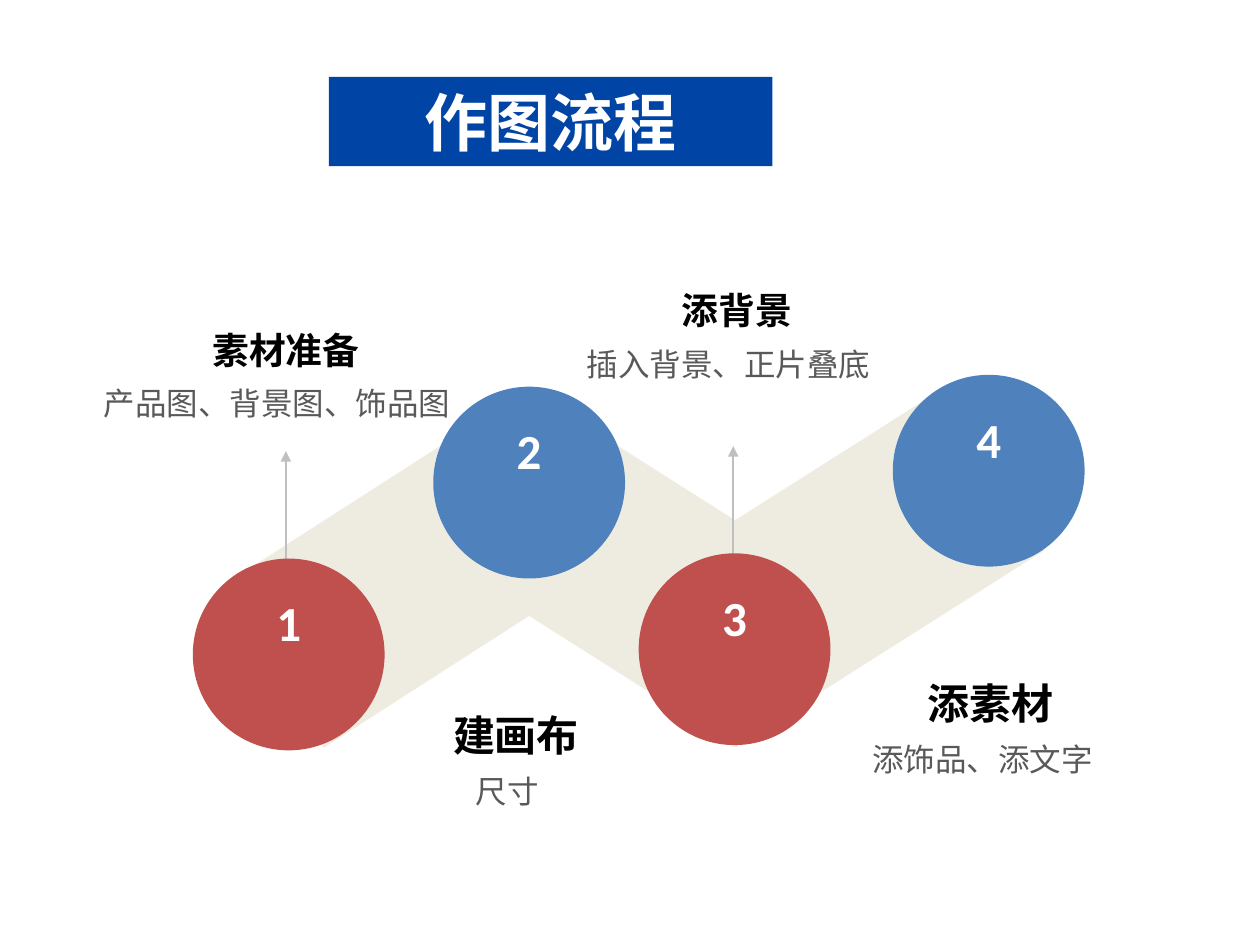
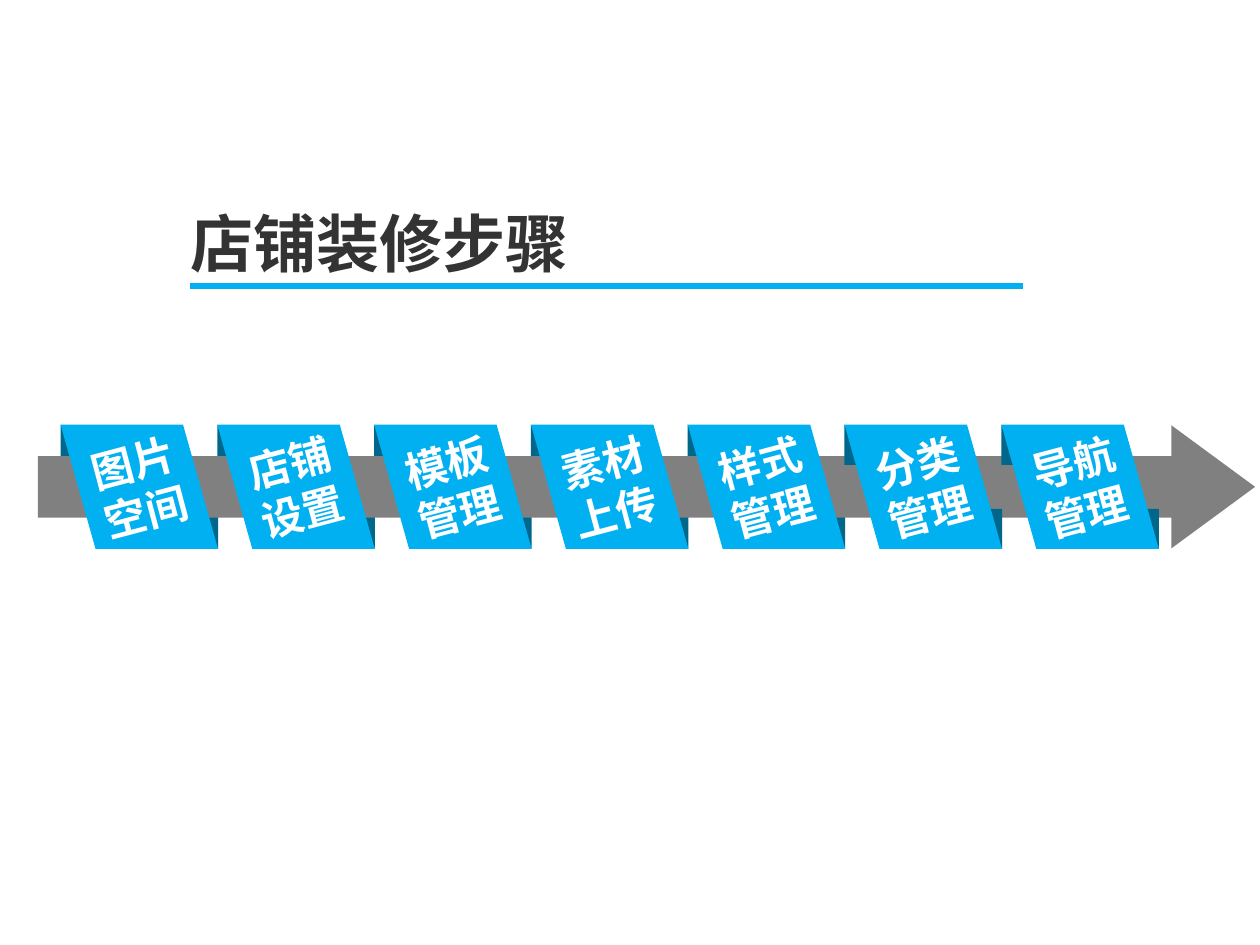
"""Build two process slides: the drawing workflow and the shop decoration steps."""
from math import cos, radians, sin

from lxml.etree import SubElement
from pptx import Presentation
from pptx.dml.color import RGBColor
from pptx.enum.shapes import MSO_CONNECTOR as Connector, MSO_SHAPE as Shape
from pptx.enum.text import MSO_ANCHOR as Anchor, MSO_AUTO_SIZE as AutoSize, PP_ALIGN as Align
from pptx.oxml.ns import qn
from pptx.util import Pt

WHITE = RGBColor(0xFF, 0xFF, 0xFF)
BLACK = RGBColor(0, 0, 0)
NAVY = RGBColor(0x00, 0x44, 0xA5)
BLUE = RGBColor(0x4F, 0x81, 0xBD)
RED = RGBColor(0xC0, 0x50, 0x4D)
CREAM = RGBColor(0xEE, 0xEC, 0xE1)
SILVER = RGBColor(0xBF, 0xBF, 0xBF)
SLATE = RGBColor(0x59, 0x59, 0x59)
CHARCOAL = RGBColor(0x33, 0x33, 0x33)
SKY = RGBColor(0x00, 0xB0, 0xF0)
TEAL = RGBColor(0x00, 0x66, 0x8A)
GREY = RGBColor(0x80, 0x80, 0x80)
CJK = "Noto Sans CJK SC"
LATIN = "Calibri"

WORKFLOW_TITLE = "作图流程"
UPPER = {"size": 21, "head_width": 190, "body_width": 244, "body_height": 30.4}
LOWER = {"size": 24, "head_width": 169, "body_width": 218, "body_height": 48}
CAPTIONS = [
    ("素材准备", "产品图、背景图、饰品图", 163.4, 215.8, UPPER),
    ("建画布", "尺寸", 294.9, 437.6, LOWER),
    ("添背景", "插入背景、正片叠底", 421.2, 193.4, UPPER),
    ("添素材", "添饰品、添文字", 566.3, 419.4, LOWER),
]
HEAD_HEIGHT, BODY_SHIFT = 30.6, -5
CIRCLES = [(165, 374, RED), (302.4, 275.8, BLUE), (419.8, 371, RED), (565, 269, BLUE)]
DIAMETER = 109.6
BARS = [(361.4, -57.6), (478.8, 57.6), (243.8, 57.3)]
BAR_MIDDLE, BAR_WIDTH, BAR_LENGTH = 324.7, 109.2, 210.2
POINTERS = [(163.4, 257.8, 380.2), (419, 255, 378)]

STEPS_TITLE = "店铺装修步骤"
STEPS = ["图片空间", "店铺设置", "模板管理", "素材上传", "样式管理", "分类管理", "导航管理"]
FIRST_CENTER, STEP_PITCH, STEP_MIDDLE = 79.6, 89.6, 278.2
HALF_WIDTH, HALF_HEIGHT, LEAN, TILT = 45, 35.5, 20, 15
FOLD_WIDTH, FOLD_HEIGHT = 11.5, 23
FOLDS_BEHIND = 5


def points(*lengths):
    return [Pt(length) for length in lengths]


def write(box, text, size, color, bold=True, font=CJK, align=Align.CENTER, anchor=Anchor.MIDDLE):
    frame = box.text_frame
    frame.word_wrap = True
    frame.auto_size = AutoSize.NONE
    frame.vertical_anchor = anchor
    frame.text = text
    para = frame.paragraphs[0]
    para.alignment = align
    para.font.name, para.font.size = font, Pt(size)
    para.font.bold = bold
    para.font.color.rgb = color
    if font == CJK:
        properties = para._p.pPr.find(qn("a:defRPr"))
        SubElement(properties, qn("a:ea"), typeface=font)
    return para


def paint(shape, color):
    shape.shadow.inherit = False
    shape.fill.solid()
    shape.fill.fore_color.rgb = color
    shape.line.fill.background()


def add_solid(page, kind, left, top, width, height, color, rotation=0):
    shape = page.shapes.add_shape(kind, *points(left, top, width, height))
    paint(shape, color)
    shape.rotation = rotation
    return shape


def add_line(page, start, end, color, width):
    line = page.shapes.add_connector(Connector.STRAIGHT, *points(*start, *end))
    line.line.color.rgb = color
    line.line.width = Pt(width)
    SubElement(line._element.spPr, qn("a:effectLst"))
    return line


def add_caption_text(page, center, top, width, height, text, size, color, bold, anchor):
    box = page.shapes.add_textbox(*points(center - width / 2, top, width, height))
    write(box, text, size, color, bold, anchor=anchor)


def add_page(deck, title, left, top, width, height, color, **style):
    page = deck.slides.add_slide(deck.slide_layouts[5])
    heading = page.shapes.title
    heading.left, heading.top, heading.width, heading.height = points(left, top, width, height)
    para = write(heading, title, 36, color, **style)
    return page, heading, para


def add_workflow(deck):
    page, heading, _ = add_page(deck, WORKFLOW_TITLE, 188, 44, 253.4, 51, WHITE)
    heading.fill.solid()
    heading.fill.fore_color.rgb = NAVY
    for center, angle in BARS:
        add_solid(page, Shape.RECTANGLE, center - BAR_WIDTH / 2, BAR_MIDDLE - BAR_LENGTH / 2,
                  BAR_WIDTH, BAR_LENGTH, CREAM, angle)
    for x, tip, foot in POINTERS:
        pointer = add_line(page, (x, tip), (x, foot), SILVER, 1)
        SubElement(pointer.line._get_or_add_ln(), qn("a:headEnd"), type="triangle")
    for number, (x, y, color) in enumerate(CIRCLES, 1):
        circle = add_solid(page, Shape.OVAL, x - DIAMETER / 2, y - DIAMETER / 2,
                           DIAMETER, DIAMETER, color)
        write(circle, str(number), 28, WHITE, font=LATIN, anchor=Anchor.TOP)
    for head, body, center, seam, form in CAPTIONS:
        add_caption_text(page, center, seam - HEAD_HEIGHT, form["head_width"], HEAD_HEIGHT,
                         head, form["size"], BLACK, True, Anchor.BOTTOM)
        add_caption_text(page, center + BODY_SHIFT, seam, form["body_width"], form["body_height"],
                         body, 18, SLATE, False, Anchor.TOP)


def add_folds(page, center):
    add_solid(page, Shape.RIGHT_TRIANGLE, center - HALF_WIDTH, STEP_MIDDLE - HALF_HEIGHT,
              FOLD_WIDTH, FOLD_HEIGHT, TEAL)
    add_solid(page, Shape.RIGHT_TRIANGLE, center + HALF_WIDTH - FOLD_WIDTH,
              STEP_MIDDLE + HALF_HEIGHT - FOLD_HEIGHT, FOLD_WIDTH, FOLD_HEIGHT, TEAL, 180)


def add_ribbon(page, center, label):
    turn = radians(TILT)
    corners = [(-HALF_WIDTH, -HALF_HEIGHT), (HALF_WIDTH - LEAN, -HALF_HEIGHT),
               (HALF_WIDTH, HALF_HEIGHT), (LEAN - HALF_WIDTH, HALF_HEIGHT)]
    outline = [points(center + x * cos(turn) - y * sin(turn),
                      STEP_MIDDLE + x * sin(turn) + y * cos(turn)) for x, y in corners]
    builder = page.shapes.build_freeform(*outline[0])
    builder.add_line_segments(outline[1:])
    ribbon = builder.convert_to_shape()
    paint(ribbon, SKY)
    ribbon.rotation = 360 - TILT
    write(ribbon, label, 24, WHITE)


def add_steps(deck):
    left, top, width, height = 108.6, 99.4, 476, 64
    page, heading, para = add_page(deck, STEPS_TITLE, left, top, width, height, CHARCOAL,
                                   align=Align.JUSTIFY, anchor=Anchor.BOTTOM)
    heading.text_frame.margin_left = heading.text_frame.margin_right = 0
    para.line_spacing = 1.3
    add_line(page, (left, top + height), (left + width, top + height), SKY, 3.75)
    centers = [FIRST_CENTER + index * STEP_PITCH for index in range(len(STEPS))]
    for center in centers[:FOLDS_BEHIND]:
        add_folds(page, center)
    arrow = add_solid(page, Shape.RIGHT_ARROW, 21.6, 243, 695.6, 70.4, GREY)
    arrow.adjustments[0], arrow.adjustments[1] = 0.5, 0.68
    for center in centers[FOLDS_BEHIND:]:
        add_folds(page, center)
    for center, label in zip(centers, STEPS):
        add_ribbon(page, center, label)


def main():
    deck = Presentation()
    deck.slide_width, deck.slide_height = points(720, 540)
    add_workflow(deck)
    add_steps(deck)
    deck.save("out.pptx")


if __name__ == "__main__":
    main()
